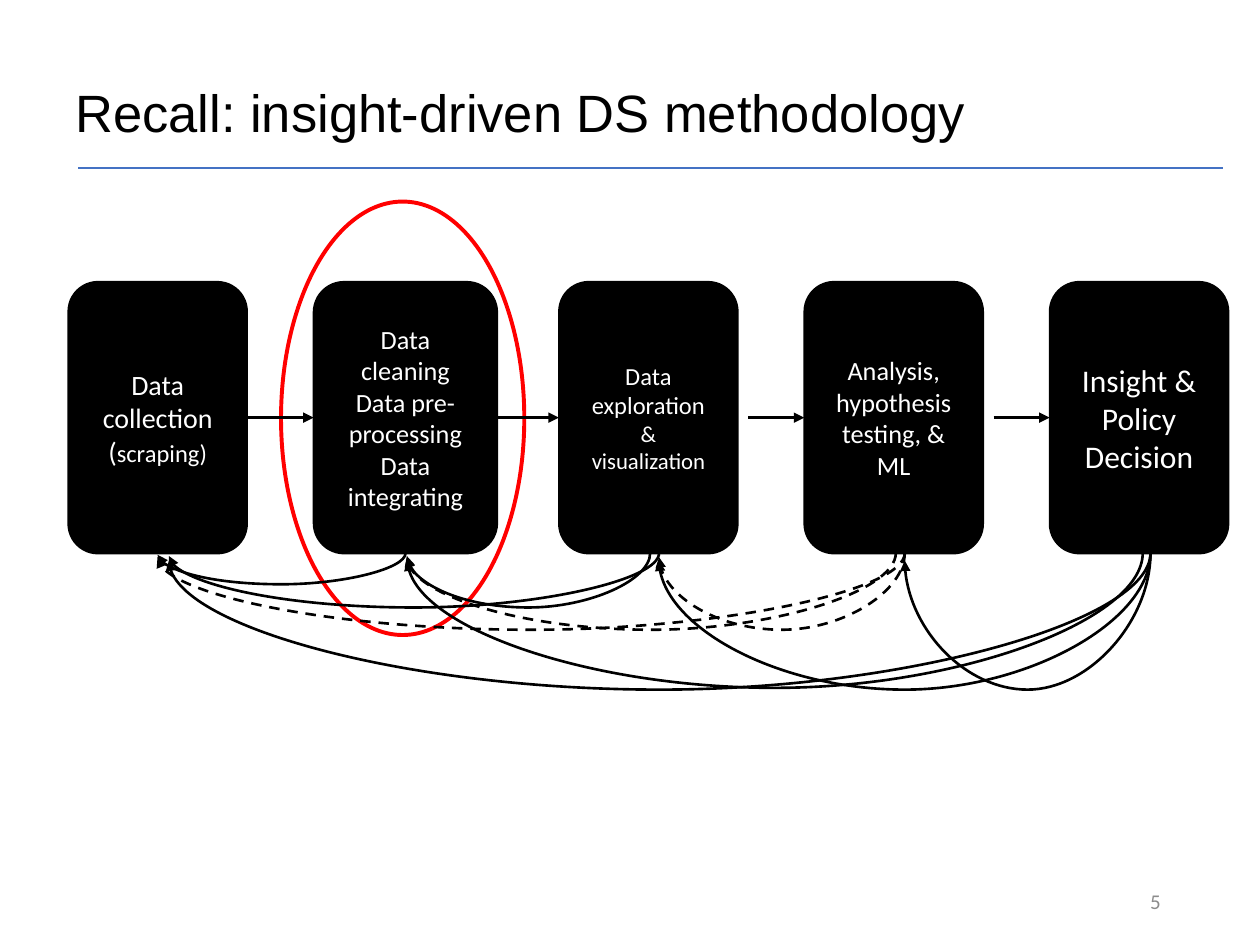
from lxml import etree
from pptx import Presentation
from pptx.dml.color import RGBColor
from pptx.enum import dml, shapes, text
from pptx.oxml.ns import qn
from pptx.util import Pt

TITLE = "Recall: insight-driven DS methodology"
PAGE_NUMBER = "5"

# Each stage: box width, gap before its outgoing arrow, paragraphs of (text, size) runs
STAGES = [
    (102.2, 0, [[("Data collection (", 16), ("scraping)", 14)]]),
    (105, 0, [[("Data cleaning Data pre-processing", 15)], [("Data integrating", 15)]]),
    (102.2, 6, [[("Data exploration", 14)], [("&", 13)], [("visualization", 13)]]),
    (102.2, 6, [[("Analysis, hypothesis testing, & ML", 15)]]),
    (102.2, 0, [[("Insight & Policy Decision", 18)]]),
]
# Feedback loops: start x, end x, sag below the boxes, dashed
LOOPS = [
    (231.8, 90, 18, False),
    (371.5, 232.5, 31, False),
    (376.6, 96.5, 31, False),
    (517, 376.6, 44, True),
    (511.9, 232.5, 44, True),
    (517, 90, 44, True),
    (657.4, 517, 78, False),
    (657.4, 376.6, 78, False),
    (653, 233, 77, False),
    (657.4, 96.5, 78, False),
]
BOX_LEFT, BOX_TOP, BOX_HEIGHT, BOX_PITCH = 39, 161, 155.3, 140.2
LOOP_TOP = 316
SAG_RATIO = 18  # sag of a loop divided by the drop between its ends

deck = Presentation()
deck.slide_width, deck.slide_height = Pt(720), Pt(540)
slide = deck.slides.add_slide(deck.slide_layouts[6])


def color(value):
    return RGBColor.from_string(value)


def write(shape, paragraphs, font, ink, align):
    frame = shape.text_frame
    frame.word_wrap = True
    frame.vertical_anchor = text.MSO_ANCHOR.MIDDLE
    for index, runs in enumerate(paragraphs):
        para = frame.paragraphs[0] if index == 0 else frame.add_paragraph()
        para.alignment = align
        for words, size in runs:
            span = para.add_run()
            span.text = words
            for name, value in {"name": font, "size": Pt(size)}.items():
                setattr(span.font, name, value)
            span.font.color.rgb = color(ink)


def add_label(bounds, words, size, font, ink, align):
    box = slide.shapes.add_textbox(*map(Pt, bounds))
    write(box, [[(words, size)]], font, ink, align)
    return box


def add_shape(kind, bounds, line, width, fill=None):
    shape = slide.shapes.add_shape(kind, *map(Pt, bounds))
    shape.shadow.inherit = False
    if fill:
        shape.fill.solid()
        shape.fill.fore_color.rgb = color(fill)
    else:
        shape.fill.background()
    shape.line.color.rgb = color(line)
    shape.line.width = Pt(width)
    return shape


def add_line(kind, ends, ink="000000", width=1.5, dashed=False, arrow=True):
    line = slide.shapes.add_connector(kind, *map(Pt, ends))
    line.line.color.rgb = color(ink)
    line.line.width = Pt(width)
    if dashed:
        line.line.dash_style = dml.MSO_LINE.DASH
    properties = line._element.spPr
    if arrow:
        etree.SubElement(properties.find(qn("a:ln")), qn("a:tailEnd"), type="triangle")
    etree.SubElement(properties, qn("a:effectLst"))
    return line


def add_loop(start, end, sag, dashed):
    """Draw a curve that leaves downwards and returns up to an earlier stage."""
    drop, span = sag / SAG_RATIO, start - end
    left = (start + end - drop) / 2
    top = LOOP_TOP + (drop - span) / 2
    loop = add_line(shapes.MSO_CONNECTOR.CURVE,
                    (left, top, left + drop, top + span), dashed=dashed)
    properties = loop._element.spPr
    properties.find(qn("a:xfrm")).set("rot", str(90 * 60000))
    adjustments = properties.find(qn("a:prstGeom")).get_or_add_avLst()
    etree.SubElement(adjustments, qn("a:gd"), name="adj1", fmla=f"val {SAG_RATIO * 100000}")


title = add_label((36, 36, 666, 60), TITLE, 30, "Arial", "000000", text.PP_ALIGN.LEFT)
title.text_frame.paragraphs[0].line_spacing = 0.9
add_label((508.3, 500.4, 162, 28.8), PAGE_NUMBER, 12, "Calibri", "8C8C8C", text.PP_ALIGN.RIGHT)
add_shape(shapes.MSO_SHAPE.OVAL, (160.6, 115.2, 139, 247.7), "FF0000", 2.25)
add_line(shapes.MSO_CONNECTOR.STRAIGHT, (44.6, 96, 699, 96), "4472C4", 1, arrow=False)

middle = BOX_TOP + BOX_HEIGHT / 2
for index, (width, gap, paragraphs) in enumerate(STAGES):
    left = BOX_LEFT + index * BOX_PITCH
    box = add_shape(shapes.MSO_SHAPE.ROUNDED_RECTANGLE,
                    (left, BOX_TOP, width, BOX_HEIGHT), "000000", 1, "000000")
    write(box, paragraphs, "Calibri", "FFFFFF", text.PP_ALIGN.CENTER)
    if index < len(STAGES) - 1:
        add_line(shapes.MSO_CONNECTOR.STRAIGHT,
                 (left + width + gap, middle, left + BOX_PITCH, middle))

for loop in LOOPS:
    add_loop(*loop)

deck.save("out.pptx")
